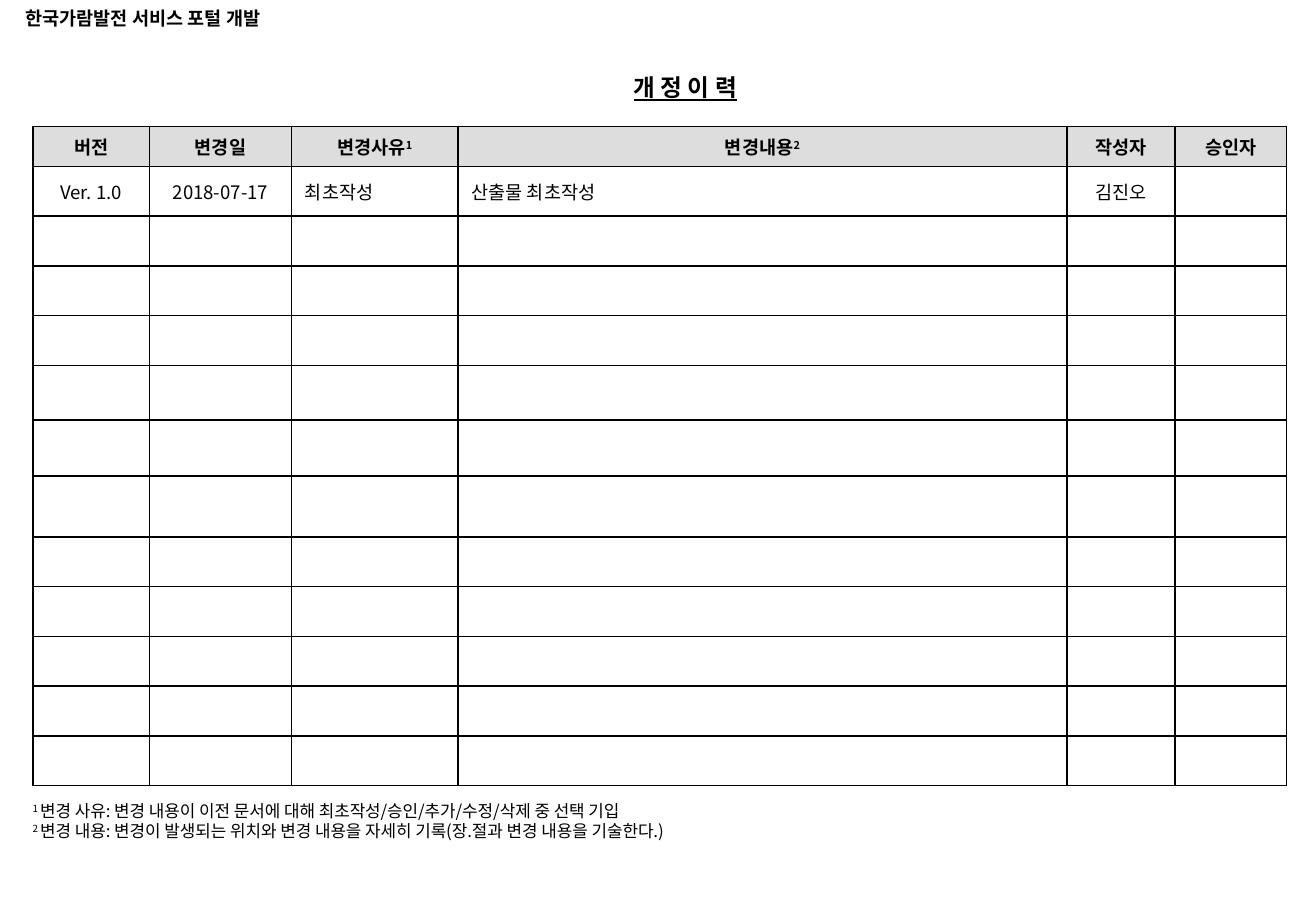
from lxml.etree import SubElement
from pptx import Presentation
from pptx.dml.color import RGBColor
from pptx.enum.shapes import MSO_SHAPE
from pptx.enum.text import MSO_ANCHOR, MSO_AUTO_SIZE, PP_ALIGN
from pptx.oxml.ns import qn
from pptx.util import Pt

PX = 9144  # 100 px to the inch
FONT = "Noto Sans CJK KR"
COLORS = {"text": "000000", "border": "000000", "header": "DDDDDD", "paper": "FFFFFF"}


def add_text(p, text, size=11, bold=False, underline=False, raised=False, align=PP_ALIGN.LEFT):
    p.alignment = align
    r = p.add_run()
    r.text = text
    r.font.size = Pt(size)
    r.font.bold = bold
    r.font.underline = underline
    r.font.name = FONT
    r.font.color.rgb = RGBColor.from_string(COLORS["text"])
    rPr = r.font._element
    SubElement(rPr, qn("a:ea"), typeface=FONT)
    if raised:
        rPr.set("baseline", "30000")


def set_borders(cell):
    tcPr = cell._tc.get_or_add_tcPr()
    for side in ("a:lnL", "a:lnR", "a:lnT", "a:lnB"):
        ln = SubElement(tcPr, qn(side), w=str(Pt(1)))
        SubElement(SubElement(ln, qn("a:solidFill")), qn("a:srgbClr"), val=COLORS["border"])


prs = Presentation()
prs.slide_width, prs.slide_height = 1083 * PX, 750 * PX
slide = prs.slides.add_slide(prs.slide_layouts[5])

# Title
title = slide.shapes.title
title.left, title.top, title.width, title.height = 408 * PX, 55 * PX, 312 * PX, 33 * PX
tf = title.text_frame
tf.auto_size = MSO_AUTO_SIZE.NONE
tf.vertical_anchor = MSO_ANCHOR.MIDDLE
add_text(tf.paragraphs[0], "개 정 이 력", size=14, bold=True, underline=True, align=PP_ALIGN.CENTER)

# Footnotes
notes = [
    ("1 ", "변경 사유: 변경 내용이 이전 문서에 대해 최초작성/승인/추가/수정/삭제 중 선택 기입"),
    ("2 ", "변경 내용: 변경이 발생되는 위치와 변경 내용을 자세히 기록(장.절과 변경 내용을 기술한다.)"),
]
tf = slide.shapes.add_textbox(17 * PX, 654 * PX, 612 * PX, 44 * PX).text_frame
tf.word_wrap = True
for i, (mark, note) in enumerate(notes):
    p = tf.add_paragraph() if i else tf.paragraphs[0]
    add_text(p, mark, size=10, raised=True)
    add_text(p, note, size=10)

# Revision table
col_widths = [96, 117, 137, 501, 89, 92]
row_heights = [33] + [41] * 4 + [45, 46, 50] + [41] * 5
headers = [("버전", ""), ("변경일", ""), ("변경사유", "1"), ("변경내용", "2"), ("작성자", ""), ("승인자", "")]
first_revision = ["Ver. 1.0", "2018-07-17", "최초작성", "산출물 최초작성", "김진오", ""]
left_cols = (2, 3)

table = slide.shapes.add_table(
    len(row_heights), len(col_widths), 27 * PX, 104 * PX, sum(col_widths) * PX, sum(row_heights) * PX
).table
table.horz_banding = False
for col, width in zip(table.columns, col_widths):
    col.width = width * PX
for y, height in enumerate(row_heights):
    table.rows[y].height = height * PX
    for x in range(len(col_widths)):
        cell = table.cell(y, x)
        cell.vertical_anchor = MSO_ANCHOR.MIDDLE
        cell.margin_left = cell.margin_right = 11 * PX
        cell.margin_top = cell.margin_bottom = 5 * PX
        set_borders(cell)
        cell.fill.solid()
        cell.fill.fore_color.rgb = RGBColor.from_string(COLORS["paper" if y else "header"])
        p = cell.text_frame.paragraphs[0]
        if y == 0:
            label, mark = headers[x]
            add_text(p, label, bold=True, align=PP_ALIGN.CENTER)
            if mark:
                add_text(p, mark, bold=True, raised=True, align=PP_ALIGN.CENTER)
        elif y == 1 and first_revision[x]:
            add_text(p, first_revision[x], align=PP_ALIGN.LEFT if x in left_cols else PP_ALIGN.CENTER)
        else:
            SubElement(p._p, qn("a:endParaRPr"), sz="1100")

# Project name
sp = slide.shapes.add_shape(MSO_SHAPE.RECTANGLE, 11 * PX, 0, 243 * PX, 29 * PX)
sp.shadow.inherit = False
sp.fill.solid()
sp.fill.fore_color.rgb = RGBColor.from_string(COLORS["paper"])
sp.line.fill.background()
tf = sp.text_frame
tf.word_wrap = True
tf.vertical_anchor = MSO_ANCHOR.MIDDLE
add_text(tf.paragraphs[0], "한국가람발전 서비스 포털 개발", bold=True)

prs.save("out.pptx")
